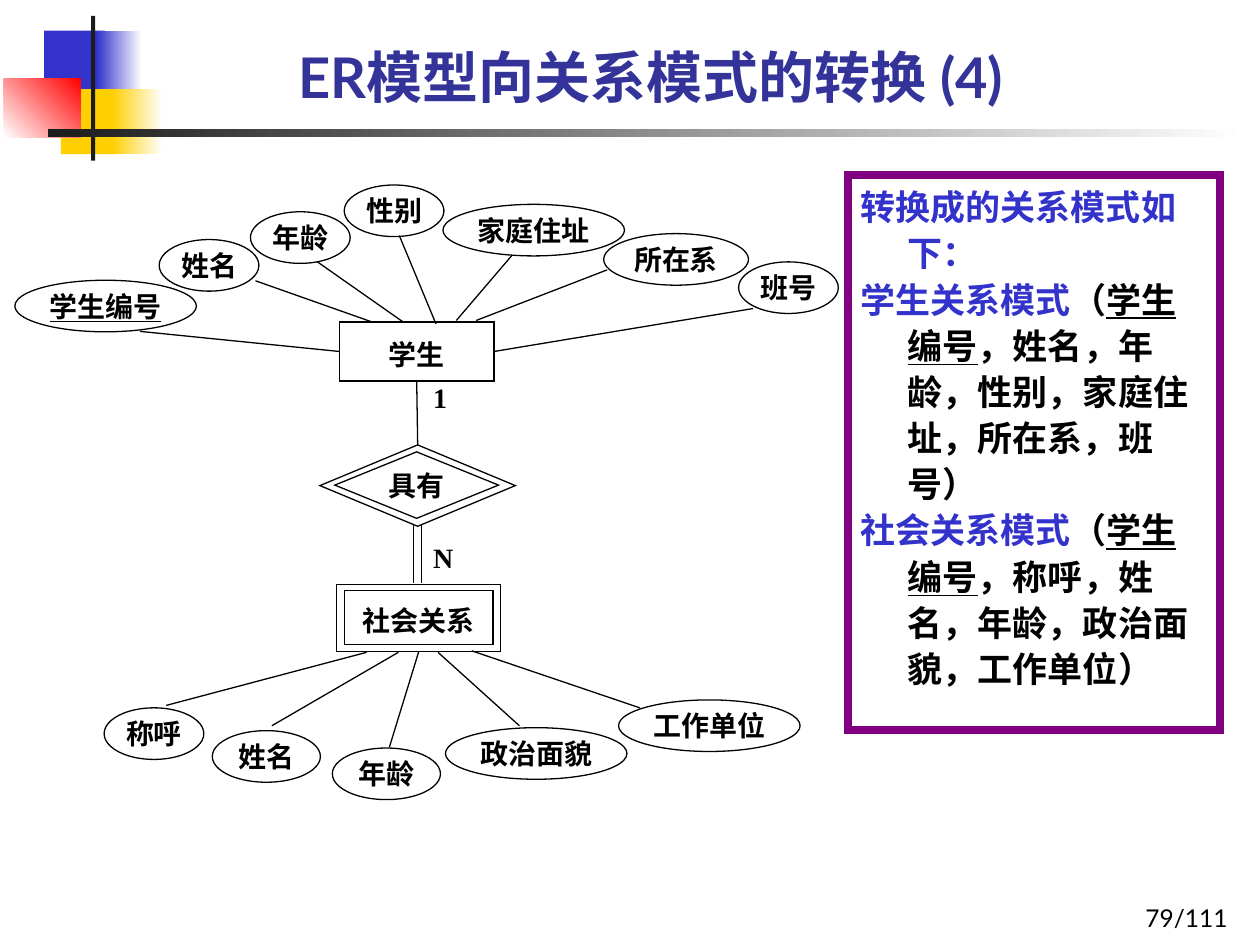
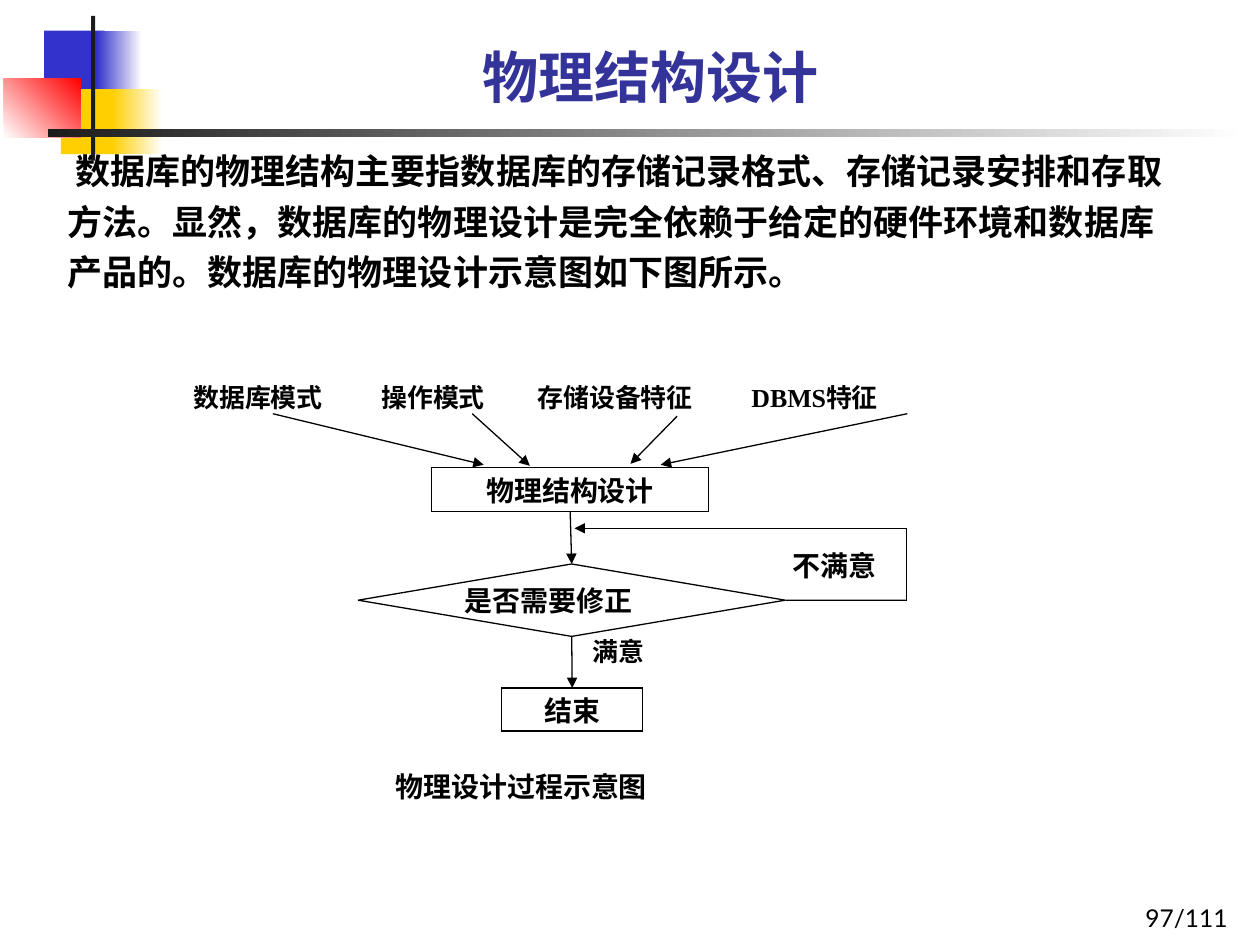
from collections import namedtuple
from dataclasses import dataclass

from lxml.etree import SubElement
from pptx import Presentation
from pptx.dml.color import RGBColor
from pptx.enum.lang import MSO_LANGUAGE_ID
from pptx.enum.shapes import MSO_CONNECTOR, MSO_SHAPE
from pptx.enum.text import MSO_ANCHOR, PP_ALIGN
from pptx.oxml.ns import qn
from pptx.util import Cm, Pt


@dataclass(frozen=True)
class Theme:
    blue: str = "3333CC"
    navy: str = "333399"
    gold: str = "FFCF01"
    red: str = "FF0000"
    dark: str = "1C1C1C"
    plum: str = "800080"
    black: str = "000000"
    white: str = "FFFFFF"
    sans: str = "Lato"
    serif: str = "Times New Roman"
    head: float = 32
    body: float = 20
    node: float = 16
    note: float = 14.8
    foot: float = 14
    thin: float = 0.75
    thick: float = 4.5


T = Theme()
Site = namedtuple("Site", "shape side")
TOP, LEFT, BOTTOM, RIGHT = range(4)
OVAL_H = 1.04
PADS = (0.25, 0.13, 0.25, 0.13)

NODE = {"name": T.serif, "size": Pt(T.node), "bold": True}
NOTE = {**NODE, "size": Pt(T.note)}
BODY = {"name": T.sans, "size": Pt(T.body), "bold": True}
HEAD = {**BODY, "size": Pt(T.head)}
FOOT = {"name": T.sans, "size": Pt(T.foot)}
KEY = {"underline": True}


def rgb(code):
    return RGBColor.from_string(code)


def put(target, values):
    for name, value in values.items():
        setattr(target, name, value)


def write(shape, paras, font, align=PP_ALIGN.LEFT, anchor=MSO_ANCHOR.MIDDLE,
          pads=(0, 0, 0, 0), color=T.black, space=1.0, margin=0, indent=0):
    """Fill a shape with paragraphs, each a list of (text, color, format) runs."""
    frame = shape.text_frame
    sides = ("margin_left", "margin_top", "margin_right", "margin_bottom")
    put(frame, {"word_wrap": True, "vertical_anchor": anchor})
    put(frame, dict(zip(sides, map(Cm, pads))))
    if isinstance(paras, str):
        paras = [[(paras, color, {})]]
    for i, runs in enumerate(paras):
        para = frame.add_paragraph() if i else frame.paragraphs[0]
        put(para, {"alignment": align, "line_spacing": space})
        props = para._p.get_or_add_pPr()
        props.set("marL", str(Cm(margin)))
        props.set("indent", str(Cm(indent)))
        props.set("hangingPunct", "0")
        for text, tint, extra in runs:
            run = para.add_run()
            run.text = text
            put(run.font, {**font, **extra,
                           "language_id": MSO_LANGUAGE_ID.SIMPLIFIED_CHINESE})
            run.font.color.rgb = rgb(tint)


def label(slide, box, paras, font, **style):
    shape = slide.shapes.add_textbox(*map(Cm, box))
    write(shape, paras, font, **style)


def form(slide, kind, box, fill=None, line=None, width=T.thin):
    shape = slide.shapes.add_shape(kind, *map(Cm, box))
    shape.shadow.inherit = False
    if fill:
        shape.fill.solid()
        shape.fill.fore_color.rgb = rgb(fill)
    else:
        shape.fill.background()
    if line:
        shape.line.color.rgb = rgb(line)
        shape.line.width = Pt(width)
        stroke = shape._element.spPr.find(qn("a:ln"))
        SubElement(stroke, qn("a:miter"), lim="800000")
    else:
        shape.line.fill.background()
    return shape


def fade(slide, box, start, end, angle=0):
    """Draw a rectangle with a two-colour gradient."""
    shape = form(slide, MSO_SHAPE.RECTANGLE, box)
    shape.fill.gradient()
    shape.fill.gradient_angle = angle
    for stop, code in zip(shape.fill.gradient_stops, (start, end)):
        stop.color.rgb = rgb(code)


def node(slide, kind, box, text, fill=T.white, font=NODE,
         align=PP_ALIGN.CENTER, drop=0):
    shape = form(slide, kind, box, fill, T.black)
    write(shape, text, font, align, pads=(0, drop, 0, 0))
    return shape


def link(slide, start, end, arrow=False):
    """Draw a line between two ends, each a point or a Site to join."""
    spots = [(0, 0) if isinstance(p, Site) else p for p in (start, end)]
    line = slide.shapes.add_connector(
        MSO_CONNECTOR.STRAIGHT, *(Cm(v) for spot in spots for v in spot))
    for stop, join in ((start, line.begin_connect), (end, line.end_connect)):
        if isinstance(stop, Site):
            join(stop.shape, stop.side)
    line.line.color.rgb = rgb(T.black)
    line.line.width = Pt(T.thin)
    props = line._element.spPr
    if arrow:
        SubElement(props.find(qn("a:ln")), qn("a:tailEnd"), type="triangle")
    SubElement(props, qn("a:effectLst"))


def traits(slide, rows):
    """Draw attribute ovals, each with the line to its entity."""
    for text, x, y, width, start, end, font in rows:
        node(slide, MSO_SHAPE.OVAL, (x, y, width, OVAL_H), text, None, font)
        link(slide, start, end)


def base(deck, title, page):
    """Add a slide with the shared ornament, title and page number."""
    slide = deck.slides.add_slide(deck.slide_layouts[6])
    form(slide, MSO_SHAPE.RECTANGLE, (0.89, 0.62, 1.22, 1.32), T.blue)
    fade(slide, (1.95, 0.62, 0.91, 1.32), T.blue, T.white)
    form(slide, MSO_SHAPE.RECTANGLE, (1.23, 1.8, 1.17, 1.31), T.gold)
    fade(slide, (2.26, 1.8, 1.02, 1.31), T.gold, T.white)
    fade(slide, (0.08, 1.58, 1.55, 1.19), T.white, T.red, 45)
    form(slide, MSO_SHAPE.RECTANGLE, (1.84, 0.32, 0.08, 2.92), T.dark)
    fade(slide, (0.96, 2.6, 24.16, 0.16), T.dark, T.white)
    label(slide, (19.72, 17.65, 5.28, 1.27), f"{page}/111", FOOT,
          align=PP_ALIGN.RIGHT, anchor=MSO_ANCHOR.BOTTOM, pads=PADS)
    label(slide, (2.3, 0.13, 21.64, 2.21), title, HEAD, color=T.navy,
          align=PP_ALIGN.CENTER, anchor=MSO_ANCHOR.BOTTOM, pads=PADS)
    return slide


def schema(name, rest):
    return [(name, T.blue, {}), ("（", T.black, {}),
            ("学生编号", T.black, KEY), (rest, T.black, {})]


def model(deck):
    slide = base(deck, "ER模型向关系模式的转换 (4)", 79)
    rect, gem = MSO_SHAPE.RECTANGLE, MSO_SHAPE.DIAMOND

    pupil = node(slide, rect, (6.84, 6.49, 3.12, 1.19), "学生", drop=0.1)
    outer = form(slide, gem, (6.45, 8.97, 3.94, 1.64), None, T.black)
    node(slide, gem, (6.75, 9.11, 3.3, 1.34), "具有")
    kin = node(slide, rect, (6.79, 11.79, 3.3, 1.35), "社会关系", None, drop=0.1)
    form(slide, rect, (6.94, 11.9, 3, 1.09), None, T.black)

    link(slide, Site(pupil, BOTTOM), Site(outer, TOP))
    for x in (8.34, 8.49):
        link(slide, (x, 10.57), (x, 11.76))
    for text, y in (("1", 7.66), ("N", 10.88)):
        label(slide, (8.73, y, 0.58, 0.71), text, NODE)

    traits(slide, [
        ("学生编号", 0.3, 5.65, 3.66, (2.82, 6.68), Site(pupil, LEFT),
         {**NODE, **KEY}),
        ("姓名", 3.21, 4.83, 2.01, (5.15, 5.66), (7.47, 6.48), NODE),
        ("年龄", 5.05, 4.27, 2.01, (6.4, 5.28), (8.14, 6.5), NODE),
        ("性别", 6.94, 3.73, 2.01, (8.05, 4.75), (8.79, 6.53), NODE),
        ("家庭住址", 8.93, 4.12, 3.66, (10.31, 5.16), (9.2, 6.46), NODE),
        ("所在系", 12.17, 4.71, 2.92, (12.24, 5.44), (9.6, 6.46), NODE),
        ("班号", 14.89, 5.28, 2.01, (15.18, 6.22), Site(pupil, RIGHT), NODE),
        ("称呼", 2.1, 14.27, 2.01, (3.35, 14.22), (7.39, 13.15), NODE),
        ("姓名", 4.28, 14.73, 2.18, (5.48, 14.63), (8.03, 13.15), NODE),
        ("年龄", 6.7, 15.08, 2.18, (7.85, 15.06), Site(kin, BOTTOM), NODE),
        ("政治面貌", 8.98, 14.67, 3.66, (10.47, 14.63), (8.83, 13.15), NODE),
        ("工作单位", 12.47, 14.11, 3.66, (12.9, 14.27), (9.51, 13.12), NODE),
    ])

    panel = form(slide, rect, (17.1, 3.53, 7.5, 11.19), None, T.plum, T.thick)
    write(panel, [
        [("转换成的关系模式如下：", T.blue, {})],
        schema("学生关系模式", "，姓名，年龄，性别，家庭住址，所在系，班号）"),
        schema("社会关系模式", "，称呼，姓名，年龄，政治面貌，工作单位）"),
    ], BODY, anchor=MSO_ANCHOR.TOP, pads=PADS,
        space=1.1, margin=0.95, indent=-0.95)


def design(deck):
    slide = base(deck, "物理结构设计", 97)
    rect = MSO_SHAPE.RECTANGLE
    label(slide, (1.11, 2.72, 23.01, 3.4),
          "数据库的物理结构主要指数据库的存储记录格式、存储记录安排和存取方法。"
          "显然，数据库的物理设计是完全依赖于给定的硬件环境和数据库产品的。"
          "数据库的物理设计示意图如下图所示。",
          BODY, anchor=MSO_ANCHOR.TOP, pads=PADS, space=1.2, indent=0.16)

    plan = node(slide, rect, (8.7, 9.43, 5.59, 0.88), "物理结构设计", drop=0.03)
    check = node(slide, MSO_SHAPE.DIAMOND, (7.22, 11.37, 8.61, 1.46),
                 "是否需要修正", align=PP_ALIGN.LEFT)
    done = node(slide, rect, (10.11, 13.87, 2.85, 0.87), "结束", drop=0.03)

    inputs = [
        ("数据库模式", 3.9, 3, (5.5, 8.34), (9.75, 9.37)),
        ("操作模式", 7.69, 2.5, (9.52, 8.34), (10.68, 9.39)),
        ("存储设备特征", 10.84, 3.5, (13.65, 8.39), (12.71, 9.35)),
        ("DBMS特征", 15.15, 3.5, (18.29, 8.34), (13.32, 9.37)),
    ]
    for text, x, width, start, end in inputs:
        label(slide, (x, 7.72, width, 0.64), text, NOTE, space=0.9)
        link(slide, start, end, True)

    link(slide, Site(plan, BOTTOM), Site(check, TOP), True)
    link(slide, Site(check, BOTTOM), Site(done, TOP), True)
    low, high = (18.28, 12.1), (18.28, 10.65)
    link(slide, Site(check, RIGHT), low)
    link(slide, low, high)
    link(slide, high, (11.58, 10.65), True)

    label(slide, (15.98, 11.05, 2.24, 0.69), "不满意", NODE)
    label(slide, (11.94, 12.84, 2.31, 0.66), "满意", NOTE, space=0.9)
    label(slide, (7.98, 15.37, 9.4, 0.97), "物理设计过程示意图", NODE)


def main():
    deck = Presentation()
    put(deck, {"slide_width": Cm(25.4), "slide_height": Cm(19.05)})
    model(deck)
    design(deck)
    deck.save("out.pptx")


if __name__ == "__main__":
    main()
